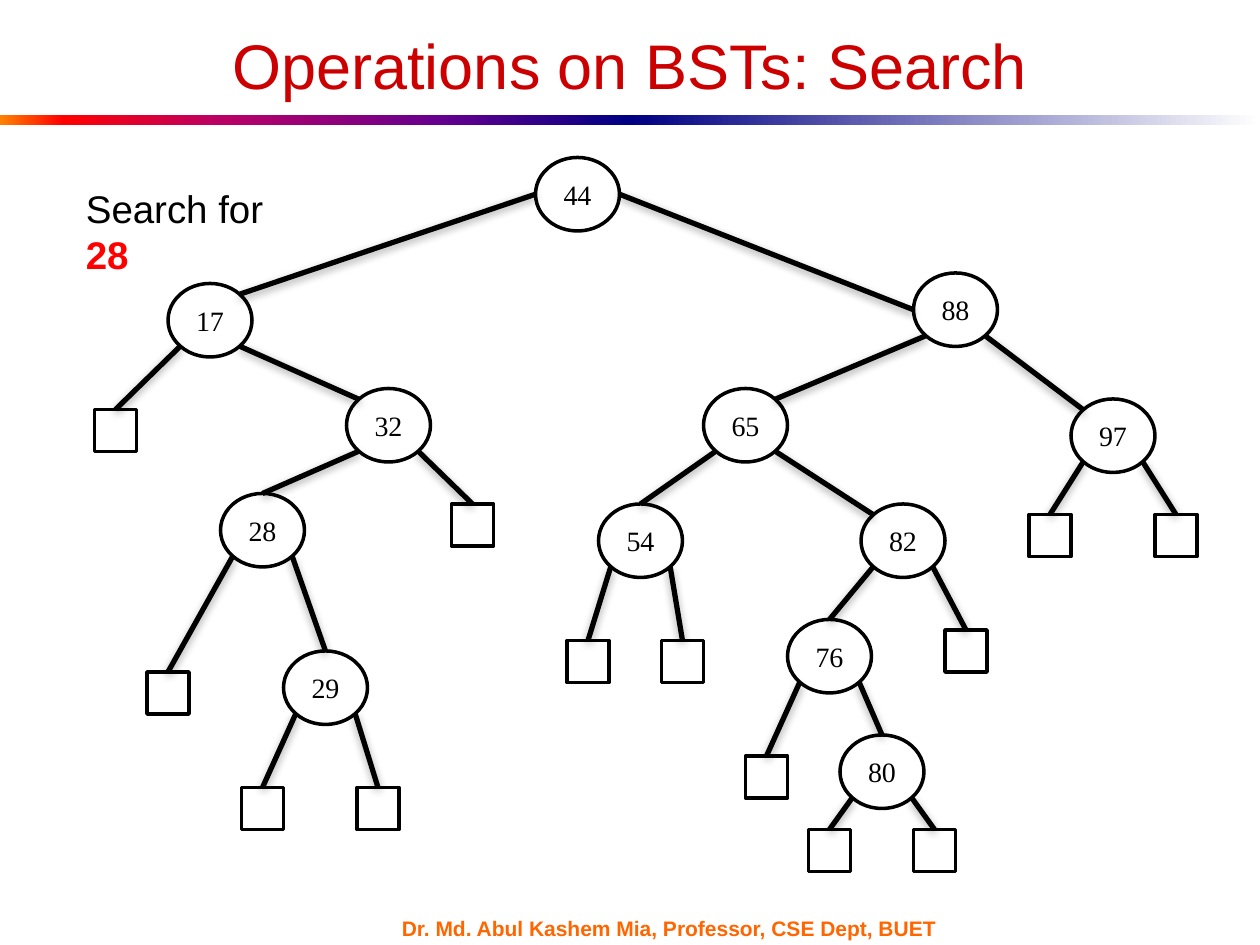
from math import sqrt

from lxml import etree
from pptx import Presentation
from pptx.dml.color import RGBColor
from pptx.enum import shapes, text
from pptx.oxml import ns, parse_xml
from pptx.util import Pt

OVAL_W, OVAL_H, BOX = 48, 42, 24
DIAG = sqrt(0.5)

# key: x, y, the spot where the line from the parent arrives
NODES = {
    44: (306, 90, None),
    17: (96, 162, "top right"),
    32: (198, 222, "top left"),
    28: (126, 282, "top"),
    29: (162, 372, "top"),
    88: (522, 156, "left"),
    65: (402, 222, "top right"),
    97: (612, 228, "top left"),
    54: (342, 288, "top"),
    82: (492, 288, "top left"),
    76: (450, 354, "top"),
    80: (480, 420, "top"),
}

# key: left child, right child; a pair is the corner of an empty leaf
KIDS = {
    44: (17, 88),
    17: ((54, 234), 32),
    32: (28, (258, 288)),
    28: ((84, 384), 29),
    29: ((138, 450), (204, 450)),
    88: (65, 97),
    65: (54, 82),
    97: ((588, 294), (660, 294)),
    54: ((324, 366), (378, 366)),
    82: (76, (540, 360)),
    76: ((426, 432), 80),
    80: ((462, 474), (522, 474)),
}

# Directions from the centre of an oval, in half widths and half heights
SPOTS = {
    "top": (0, -1),
    "left": (-1, 0),
    "right": (1, 0),
    "top left": (-DIAG, -DIAG),
    "top right": (DIAG, -DIAG),
    "low left": (-DIAG, DIAG),
    "low right": (DIAG, DIAG),
}

SHADOW = f"""<a:effectLst {ns.nsdecls("a")}>
  <a:outerShdw blurRad="{Pt(5)}" dist="{Pt(1.8)}" dir="5400000" rotWithShape="0">
    <a:srgbClr val="000000"><a:alpha val="35000"/></a:srgbClr>
  </a:outerShdw>
</a:effectLst>"""


def color(code):
    return RGBColor.from_string(code)


def spot(key, name):
    """Return the point on the rim of a node."""
    x, y, _ = NODES[key]
    dx, dy = SPOTS[name]
    return x + OVAL_W / 2 * (1 + dx), y + OVAL_H / 2 * (1 + dy)


class Board:
    sans, serif = "Arial", "Times New Roman"
    ink, paper = "000000", "FFFFFF"
    rim, edge = 2, 3

    def __init__(self, slide):
        self.slide = slide

    def shape(self, kind, x, y, w, h):
        item = self.slide.shapes.add_shape(kind, Pt(x), Pt(y), Pt(w), Pt(h))
        item.shadow.inherit = False
        return item

    def outline(self, kind, x, y, w, h):
        item = self.shape(kind, x, y, w, h)
        item.fill.solid()
        item.fill.fore_color.rgb = color(self.paper)
        item.line.color.rgb = color(self.ink)
        item.line.width = Pt(self.rim)
        return item

    def node(self, key):
        x, y, _ = NODES[key]
        item = self.outline(shapes.MSO_SHAPE.OVAL, x, y, OVAL_W, OVAL_H)
        item.text_frame.text = str(key)
        item.text_frame.vertical_anchor = text.MSO_ANCHOR.MIDDLE
        para = item.text_frame.paragraphs[0]
        para.alignment = text.PP_ALIGN.CENTER
        self.font(para.font, 16, self.ink, self.serif)
        return item

    def leaf(self, x, y):
        return self.outline(shapes.MSO_SHAPE.RECTANGLE, x, y, BOX, BOX)

    def link(self, start, end, child=None):
        """Draw a line; with a child given, join its end to the child's top."""
        points = [Pt(v) for v in (*start, *end)]
        line = self.slide.shapes.add_connector(
            shapes.MSO_CONNECTOR.STRAIGHT, *points)
        line.line.color.rgb = color(self.ink)
        line.line.width = Pt(self.edge)
        line._element.spPr.append(parse_xml(SHADOW))
        if child is not None:
            line.end_connect(child, 0)

    def band(self, x, y, w, h, stops):
        item = self.shape(shapes.MSO_SHAPE.RECTANGLE, x, y, w, h)
        item.line.fill.background()
        item.fill.gradient()
        item.fill.gradient_angle = 0
        stop_list = next(item._element.spPr.iter(ns.qn("a:gsLst")))
        for old in list(stop_list):
            stop_list.remove(old)
        for part, code in stops:
            stop = etree.SubElement(
                stop_list, ns.qn("a:gs"), pos=str(part * 1000))
            etree.SubElement(stop, ns.qn("a:srgbClr"), val=code)

    def label(self, x, y, w, h, words, size, code, bold=None,
              align=None, anchor=text.MSO_ANCHOR.MIDDLE):
        box = self.slide.shapes.add_textbox(Pt(x), Pt(y), Pt(w), Pt(h))
        frame = box.text_frame
        frame.word_wrap = True
        frame.vertical_anchor = anchor
        para = frame.paragraphs[0]
        para.alignment = align
        para.add_run().text = words
        self.font(para.font, size, code, self.sans, bold)
        return para

    def font(self, font, size, code, name, bold=None):
        font.size, font.name, font.bold = Pt(size), name, bold
        font.color.rgb = color(code)


def main():
    deck = Presentation()
    deck.slide_width, deck.slide_height = Pt(720), Pt(540)
    board = Board(deck.slides.add_slide(deck.slide_layouts[6]))

    board.band(0, 65.5, 360, 6, [(0, "FF8200"), (10, "FF0000"), (35, "BA0066"),
                                 (70, "66008F"), (100, "000082")])
    board.band(360, 65.5, 360, 6, [(0, "000082"), (100, "FFFFFF")])
    board.label(222.5, 524, 336, 13,
                "Dr. Md. Abul Kashem Mia, Professor, CSE Dept, BUET",
                12, "FF6600", bold=True)

    ovals = {key: board.node(key) for key in NODES}
    for key, pair in KIDS.items():
        level = "" if NODES[key][2] is None else "low "
        for side, kid in zip(("left", "right"), pair):
            start = spot(key, level + side)
            if isinstance(kid, tuple):
                x, y = kid
                board.link(start, (x + BOX / 2, y), board.leaf(x, y))
            else:
                entry = NODES[kid][2]
                child = ovals[kid] if entry == "top" else None
                board.link(start, spot(kid, entry), child)

    para = board.label(42, 102, 134, 34, "Search for ", 22, board.ink,
                       anchor=text.MSO_ANCHOR.TOP)
    goal = para.add_run()
    goal.text = "28"
    goal.font.bold = True
    goal.font.color.rgb = color("FF0000")
    board.label(36, 18, 648, 37, "Operations on BSTs: Search", 36, "CC0000",
                align=text.PP_ALIGN.CENTER)
    deck.save("out.pptx")


if __name__ == "__main__":
    main()
